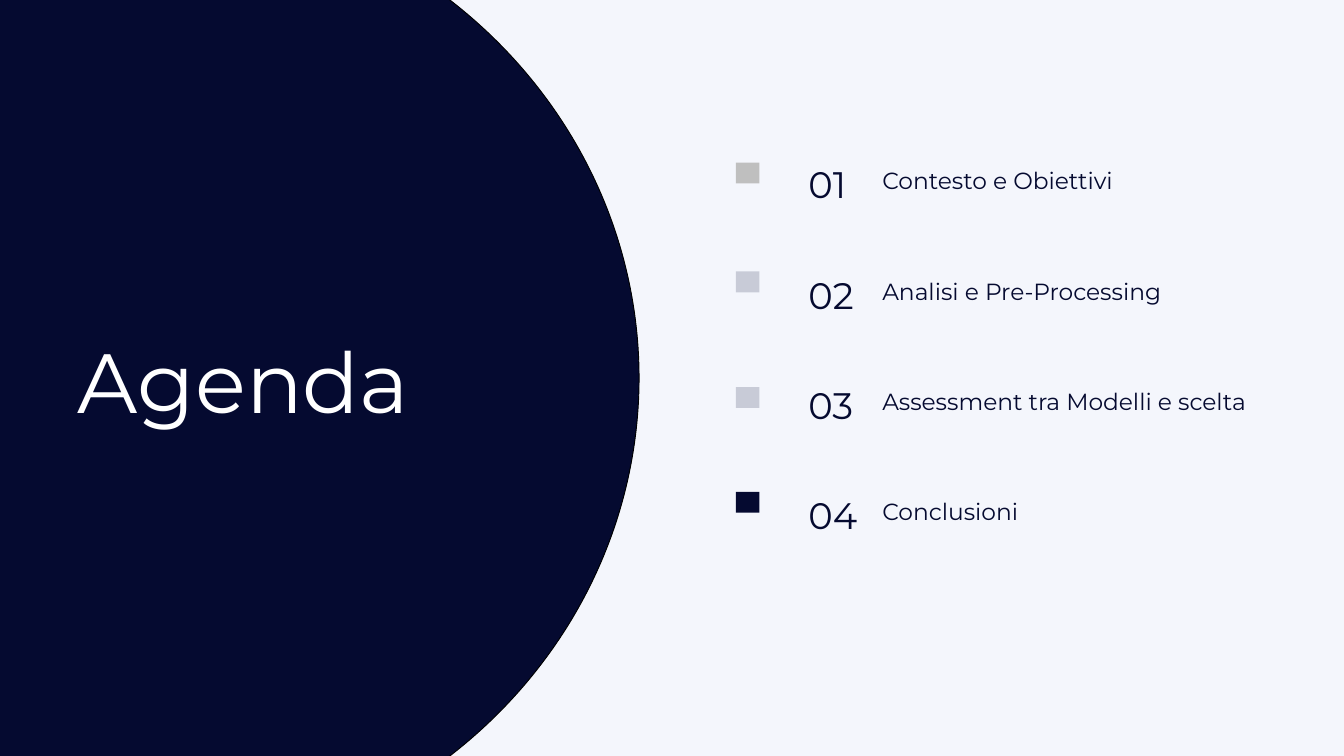
from lxml import etree
from pptx import Presentation
from pptx.dml.color import RGBColor
from pptx.enum.shapes import MSO_SHAPE
from pptx.enum.text import MSO_AUTO_SIZE
from pptx.oxml.ns import qn
from pptx.util import Inches, Pt

RECT, OVAL = MSO_SHAPE.RECTANGLE, MSO_SHAPE.OVAL
FIT_SHAPE = MSO_AUTO_SIZE.SHAPE_TO_FIT_TEXT

NAVY = RGBColor(0x05, 0x0A, 0x30)
BLACK = RGBColor(0x00, 0x00, 0x00)
WHITE = RGBColor(0xFF, 0xFF, 0xFF)
GREY = RGBColor(0xBF, 0xBF, 0xBF)
PALE = RGBColor(0xF4, 0xF6, 0xFC)
FONT = "Montserrat"

TITLE = "Agenda"
# topic, marker top, marker colour, marker opacity in percent
ITEMS = [
    ("Contesto e Obiettivi", 2.42, GREY, 100),
    ("Analisi e Pre-Processing", 4.04, NAVY, 18),
    ("Assessment tra Modelli e scelta", 5.76, NAVY, 18),
    ("Conclusioni", 7.32, NAVY, 100),
]
FIRST_TOP, ROW_STEP = 2.21, 1.643
MARKER_X, NUMBER_X, TOPIC_X = 10.95, 12.03, 13.13
TOPIC_DROP = 0.14


def add_filled(shapes, kind, box, color, opacity=100):
    sp = shapes.add_shape(kind, *map(Inches, box))
    sp.shadow.inherit = False
    sp.fill.solid()
    sp.fill.fore_color.rgb = color
    sp.line.fill.background()
    if opacity < 100:
        clr = sp.fill._xPr.find(qn("a:solidFill")).find(qn("a:srgbClr"))
        etree.SubElement(clr, qn("a:alpha")).set("val", str(opacity * 1000))
    return sp


def add_text(shapes, text, box, size, color, spacing):
    tf = shapes.add_textbox(*map(Inches, box)).text_frame
    tf.margin_left = tf.margin_top = tf.margin_right = tf.margin_bottom = 0
    tf.word_wrap = True
    tf.auto_size = FIT_SHAPE
    tf.text = text
    p = tf.paragraphs[0]
    p.line_spacing = spacing
    font = p.runs[0].font
    font.name, font.size = FONT, Pt(size)
    font.color.rgb = color


def main():
    prs = Presentation()
    prs.slide_width, prs.slide_height = Inches(20), Inches(11.25)
    s = prs.slides.add_slide(prs.slide_layouts[6])
    s.background.fill.solid()
    s.background.fill.fore_color.rgb = PALE

    disc = add_filled(s.shapes, OVAL, (-5.83, -1.64, 15.34, 14.53), NAVY)
    disc.line.color.rgb = BLACK
    disc.line.width = Pt(1)
    add_text(s.shapes, TITLE, (1.16, 5.02, 5.18, 1.22), 90, WHITE, 0.95)

    for i, (topic, marker_top, color, opacity) in enumerate(ITEMS):
        top = FIRST_TOP + i * ROW_STEP
        add_filled(s.shapes, RECT, (MARKER_X, marker_top, 0.35, 0.31), color, opacity)
        row = s.shapes.add_group_shape().shapes
        add_text(row, f"{i + 1:02}", (NUMBER_X, top, 0.84, 0.67), 39.5, NAVY, 1.3)
        add_text(row, topic, (TOPIC_X, top + TOPIC_DROP, 5.9, 0.55), 25, NAVY, 1.3)

    prs.save("out.pptx")


if __name__ == "__main__":
    main()
